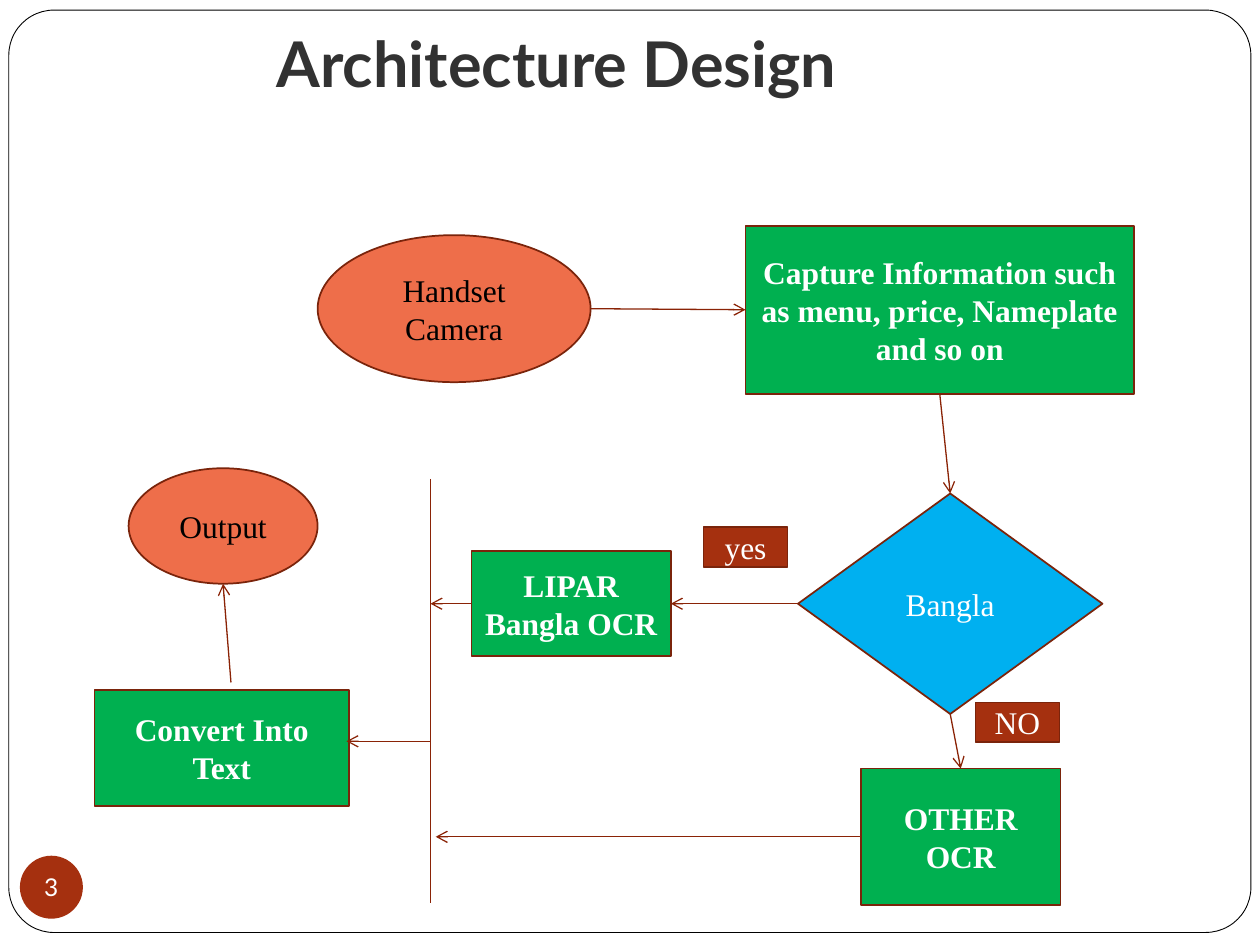
from typing import NamedTuple

from lxml.etree import SubElement
from pptx import Presentation
from pptx.dml.color import RGBColor
from pptx.enum.shapes import MSO_CONNECTOR as Connector, MSO_SHAPE as Shape
from pptx.enum.text import MSO_ANCHOR as Anchor, PP_ALIGN as Align
from pptx.oxml.ns import qn
from pptx.util import Inches, Pt

WHITE = RGBColor(0xFF, 0xFF, 0xFF)
BLACK = RGBColor(0x00, 0x00, 0x00)
CHARCOAL = RGBColor(0x32, 0x32, 0x32)
RUST = RGBColor(0xA5, 0x30, 0x0F)
OUTLINE = RGBColor(0x7A, 0x24, 0x0B)
ARROW = RGBColor(0x8A, 0x23, 0x06)
ORANGE = RGBColor(0xEE, 0x6E, 0x4A)
GREEN = RGBColor(0x00, 0xB0, 0x50)
BLUE = RGBColor(0x00, 0xB0, 0xF0)

COLUMNS, ROWS = 120, 90
CELL = Inches(10) / COLUMNS
TOP, LEFT, BOTTOM, RIGHT = range(4)


class Box(NamedTuple):
    """A region measured in grid columns and rows."""
    left: float
    top: float
    width: float
    height: float

    def inner(self, left, top, width, height):
        return Box(self.left + left, self.top + top, width, height)

    def point(self, column, row):
        return round((self.left + column) * CELL), round((self.top + row) * CELL)

    def lengths(self):
        return [round(value * CELL) for value in self]


def write(shape, text, size=18, font="Times New Roman", color=WHITE, bold=False,
          anchor=Anchor.MIDDLE, wrap=True, insets=(0.1, 0.05, 0.1, 0.05)):
    frame = shape.text_frame
    frame.word_wrap = wrap
    frame.vertical_anchor = anchor
    (frame.margin_left, frame.margin_top,
     frame.margin_right, frame.margin_bottom) = map(Inches, insets)
    paragraph = frame.paragraphs[0]
    paragraph.alignment = Align.CENTER
    run = paragraph.add_run()
    run.text = text
    run.font.size = Pt(size)
    run.font.name = font
    run.font.bold = bold
    run.font.color.rgb = color


def add_node(slide, kind, box, fill, line=OUTLINE, line_width=1):
    shape = slide.shapes.add_shape(kind, *box.lengths())
    shape.shadow.inherit = False
    shape.fill.solid()
    shape.fill.fore_color.rgb = fill
    if line is None:
        shape.line.fill.background()
    else:
        shape.line.color.rgb = line
        shape.line.width = Pt(line_width)
    return shape


def add_step(slide, box, text):
    step = add_node(slide, Shape.RECTANGLE, box, GREEN)
    write(step, text, bold=True)
    return step


def add_terminal(slide, box, text):
    terminal = add_node(slide, Shape.OVAL, box, ORANGE)
    write(terminal, text, color=BLACK)


def add_answer(slide, box, text):
    write(add_node(slide, Shape.RECTANGLE, box, RUST), text)


def add_line(slide, start=(0, 0), end=(0, 0), source=None, target=None, arrow=True):
    """Draw a line; source and target are (shape, side) pairs to join."""
    line = slide.shapes.add_connector(Connector.STRAIGHT, *start, *end)
    if source:
        line.begin_connect(*source)
    if target:
        line.end_connect(*target)
    line.line.color.rgb = ARROW
    line.line.width = Pt(0.75)
    properties = line._element.spPr
    if arrow:
        SubElement(properties.find(qn("a:ln")), qn("a:tailEnd"), type="arrow")
    SubElement(properties, qn("a:effectLst"))


def draw_frame(slide, box):
    frame = add_node(slide, Shape.ROUNDED_RECTANGLE,
                     box.inner(0.84, 0.96, box.width - 1.7, box.height - 2.15),
                     WHITE, BLACK, 0.5)
    frame.adjustments[0] = 0.049
    slide.shapes._spTree.insert(2, frame._element)  # behind the title

    title = slide.shapes.title
    title.left, title.top, title.width, title.height = box.inner(2, 0.25, 102, 10.5).lengths()
    write(title, "Architecture Design", size=36, font="Lato", color=CHARCOAL,
          bold=True, anchor=Anchor.BOTTOM, insets=(0.1, 0.05, 0.1, 0.1))

    badge = add_node(slide, Shape.OVAL, box.inner(1.9, 81.5, 6, 6), RUST, line=None)
    write(badge, "3", size=14, font="Lato", wrap=False, insets=(0, 0, 0, 0))


def draw_capture(slide, box):
    add_terminal(slide, box.inner(0.25, 1.4, 26, 14), "Handset Camera")
    capture = add_step(slide, box.inner(41, 0.5, 37, 16),
                       "Capture Information such as menu, price, Nameplate and so on")
    add_line(slide, start=box.point(26.25, 8.4), target=(capture, LEFT))
    return capture


def draw_decision(slide, box):
    decision = add_node(slide, Shape.DIAMOND, box.inner(9, 1, 29, 21), BLUE)
    write(decision, "Bangla")
    other = add_step(slide, box.inner(15, 27.2, 19, 13), "OTHER OCR")
    add_line(slide, source=(decision, BOTTOM), target=(other, TOP))
    add_answer(slide, box.inner(0, 4.2, 8, 3.8), "yes")
    add_answer(slide, box.inner(25.9, 20.9, 8, 3.8), "NO")
    return decision, other


def draw_output(slide, box, decision, other):
    bus = 32
    bangla = add_step(slide, box.inner(35.9, 8.5, 19, 10), "LIPAR Bangla OCR")
    add_step(slide, box.inner(0, 21.75, 24.25, 11), "Convert Into Text")
    add_terminal(slide, box.inner(3.25, 0.6, 18, 11), "Output")

    add_line(slide, source=(decision, LEFT), target=(bangla, RIGHT))
    add_line(slide, end=box.point(bus, 13.5), source=(bangla, LEFT))
    add_line(slide, end=box.point(bus + 0.5, 35.7), source=(other, LEFT))
    add_line(slide, box.point(bus, 1.6), box.point(bus, 42), arrow=False)
    add_line(slide, box.point(bus, 26.6), box.point(24, 26.6))
    add_line(slide, box.point(13, 21), box.point(12.25, 11.6))


def main():
    presentation = Presentation()
    presentation.slide_width = Inches(10)
    presentation.slide_height = Inches(7.5)
    slide = presentation.slides.add_slide(presentation.slide_layouts[5])

    draw_frame(slide, Box(0, 0, COLUMNS, ROWS))
    capture = draw_capture(slide, Box(30, 21, 78, 17))
    decision, other = draw_decision(slide, Box(67, 46, 38, 41))
    add_line(slide, source=(capture, BOTTOM), target=(decision, TOP))
    draw_output(slide, Box(9, 44, 55, 43), decision, other)

    presentation.save("out.pptx")


if __name__ == "__main__":
    main()
